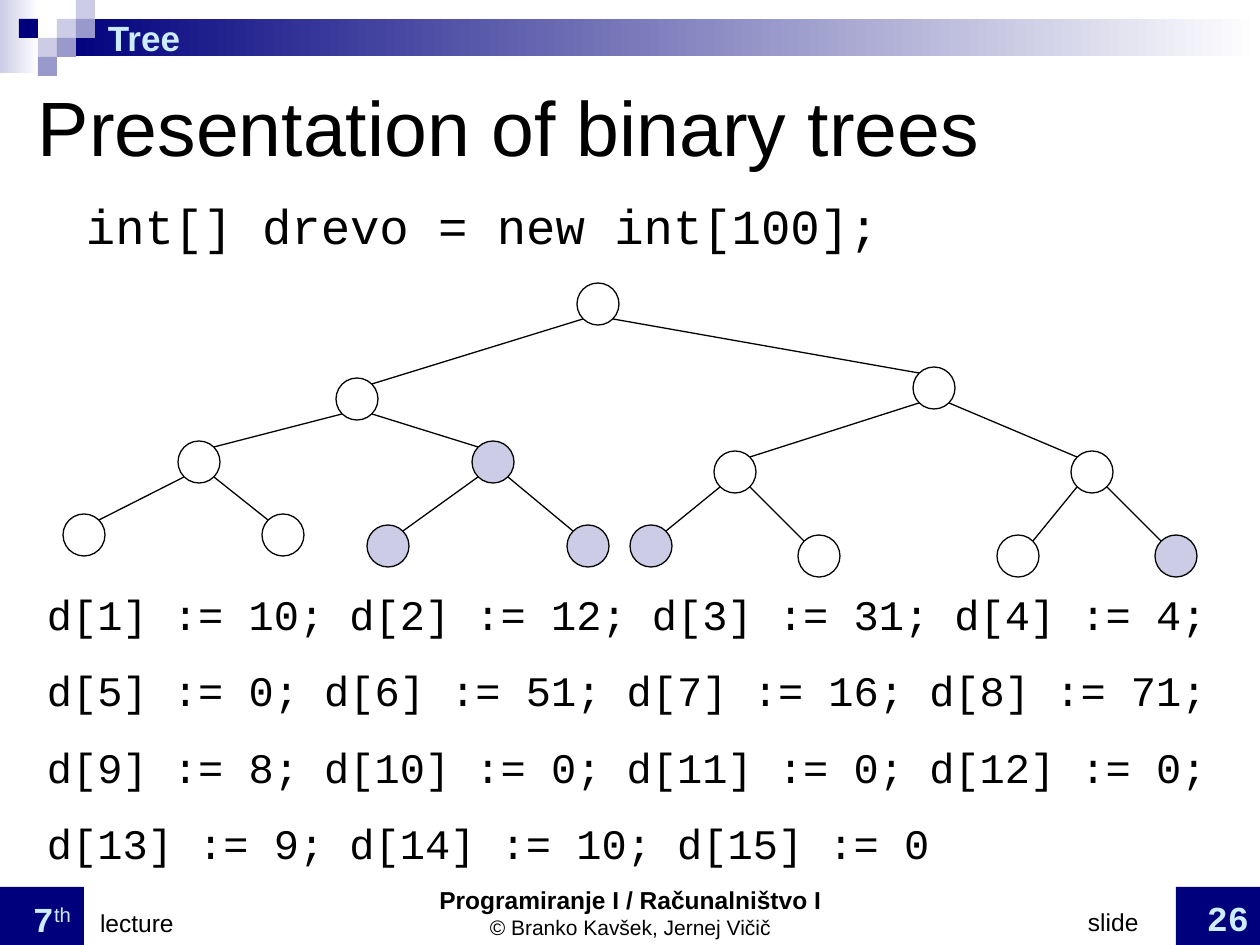
from lxml import etree
from pptx import Presentation
from pptx.dml.color import RGBColor
from pptx.enum.shapes import MSO_CONNECTOR as CONN, MSO_SHAPE as SHAPE
from pptx.enum.text import MSO_ANCHOR as ANCHOR, PP_ALIGN as ALIGN
from pptx.oxml.ns import qn
from pptx.util import Emu, Pt

PX = 914400 // 126
W, H = 1260, 945
SANS, MONO = "Arial", "Courier New"
NAVY, MID, PALE, ICE = "00007D", "9999CC", "CCCCE6", "CCECFF"
BLACK, WHITE = "000000", "FFFFFF"


def px(*values):
    return [Emu(v * PX) for v in values]


def color(hex_code):
    return RGBColor.from_string(hex_code)


def style(font, size, name=SANS, c=BLACK, bold=False):
    font.size, font.name, font.bold = Pt(size), name, bold
    font.color.rgb = color(c)


def add_block(s, box, fill=None, line=None, kind=SHAPE.RECTANGLE):
    sp = s.shapes.add_shape(kind, *px(*box))
    sp.shadow.inherit = False
    if fill:
        sp.fill.solid()
        sp.fill.fore_color.rgb = color(fill)
    else:
        sp.fill.background()
    if line:
        sp.line.color.rgb = color(line)
        sp.line.width = Pt(0.75)
    else:
        sp.line.fill.background()
    return sp


def add_fade(s, box, start):
    fill = add_block(s, box).fill
    fill.gradient()
    fill.gradient_angle = 0
    for stop, c in zip(fill.gradient_stops, (start, WHITE)):
        stop.color.rgb = color(c)


def add_line(s, start, end):
    cxn = s.shapes.add_connector(CONN.STRAIGHT, *px(*start, *end))
    cxn.line.color.rgb = color(BLACK)
    cxn.line.width = Pt(0.75)
    etree.SubElement(cxn._element.spPr, qn("a:effectLst"))


def add_text(s, box, lines, anchor=ANCHOR.TOP, **font):
    tf = s.shapes.add_textbox(*px(*box)).text_frame
    tf.word_wrap = True
    tf.vertical_anchor = anchor
    tf.margin_left, tf.margin_right, tf.margin_top, tf.margin_bottom = px(13, 13, 6, 6)
    for i, line in enumerate(lines):
        p = tf.add_paragraph() if i else tf.paragraphs[0]
        p.text = line
        if font:
            style(p.font, **font)
    return tf


def add_tabbed(s, box, tab, runs):
    tf = add_text(s, box, [""], ANCHOR.BOTTOM)
    tf.margin_right = 0
    p = tf.paragraphs[0]
    tabs = etree.SubElement(p._p.get_or_add_pPr(), qn("a:tabLst"))
    etree.SubElement(tabs, qn("a:tab"), pos=str(tab * PX), algn="l")
    for text, font in runs:
        r = p.add_run()
        r.text = text
        style(r.font, **font)
    return p


def header(s, box, title):
    x, y, w, h = box
    cell = 19
    add_fade(s, (x, y, 39, 73), PALE)
    add_fade(s, (x + 3 * cell, y + cell, w - 3 * cell, 37), NAVY)
    squares = [(3, 1, PALE), (4, 0, PALE), (4, 1, MID), (2, 2, PALE),
               (1, 1, NAVY), (3, 2, MID), (2, 3, MID)]
    for col, row, c in squares:
        add_block(s, (x + col * cell, y + row * cell, cell, cell), c)
    add_text(s, (x + 95, y + cell, 863, 37), [title], ANCHOR.MIDDLE,
             size=20, c=ICE, bold=True)


def footer(s, box):
    x, y, w, h = box
    number = dict(size=20, name=MONO, c=ICE, bold=True)
    label = dict(size=14)
    for left in (x, x + w - 84):
        add_block(s, (left, y, 84, h), NAVY)
    tf = add_text(s, (x + 412, y - 4, 437, 63),
                  ["Programiranje I / Računalništvo I", "© Branko Kavšek, Jernej Vičič"],
                  ANCHOR.BOTTOM)
    for p, size in zip(tf.paragraphs, (14, 12)):
        p.alignment = ALIGN.CENTER
        style(p.font, size, bold=size == 14)
    p = add_tabbed(s, (x + 20, y - 7, 273, 66), 67,
                   [("7", number), ("th", dict(size=20, c=ICE)), ("\tlecture", label)])
    p.runs[1].font._element.set("baseline", "30000")
    add_tabbed(s, (x + 1075, y - 5, 185, 63), 119,
               [("slide", label), ("\t26", number)])


def tree(s, box):
    x, y, w, h = box
    size, near, far = 42, 6, 36
    nodes = [(514, 0), (273, 95), (850, 84), (115, 158), (409, 158),
             (651, 168), (1008, 168), (0, 231), (199, 231), (304, 242),
             (504, 242), (567, 242), (735, 252), (934, 252), (1092, 252)]
    empty = {5, 10, 11, 12, 15}
    spots = {i: (x + dx, y + dy) for i, (dx, dy) in enumerate(nodes, 1)}
    for i, (left, top) in spots.items():
        add_block(s, (left, top, size, size), PALE if i in empty else None,
                  BLACK, SHAPE.OVAL)
        if i > 1:
            up_left, up_top = spots[i // 2]
            start, end = (far, near) if i % 2 else (near, far)
            add_line(s, (up_left + start, up_top + far), (left + end, top + near))


def assignments(s, box):
    lines = ["d[1] := 10; d[2] := 12; d[3] := 31; d[4] := 4;",
             "d[5] := 0; d[6] := 51; d[7] := 16; d[8] := 71;",
             "d[9] := 8; d[10] := 0; d[11] := 0; d[12] := 0;",
             "d[13] := 9; d[14] := 10; d[15] := 0"]
    for p in add_text(s, box, lines, size=24, name=MONO).paragraphs:
        p.space_after = Pt(15)


def main():
    prs = Presentation()
    prs.slide_width, prs.slide_height = px(W, H)
    s = prs.slides.add_slide(prs.slide_layouts[6])
    header(s, (0, 0, W, 76), "Tree")
    footer(s, (0, 887, W, 58))
    add_text(s, (25, 47, 1071, 158), ["Presentation of binary trees"],
             ANCHOR.MIDDLE, size=44)
    add_text(s, (73, 189, 1134, 68), ["int[] drevo = new int[100];"],
             size=28, name=MONO)
    tree(s, (63, 283, 1134, 294))
    assignments(s, (34, 582, 1197, 294))
    prs.save("out.pptx")


if __name__ == "__main__":
    main()
